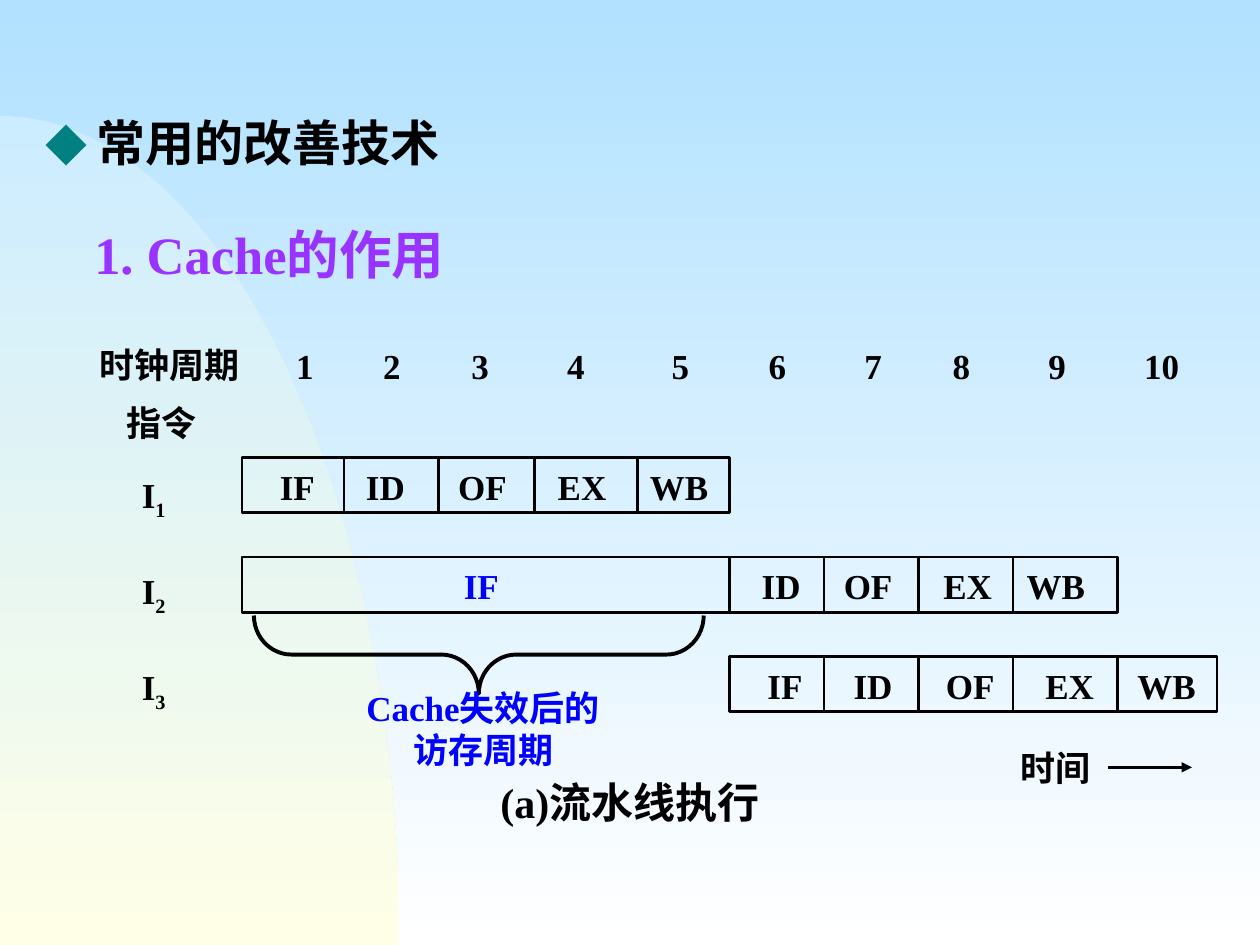
"""Build a slide on how a cache miss delays an instruction pipeline."""
import math
import pptx
import pptx.util
import pptx.dml.color
import pptx.enum.dml
import pptx.enum.shapes
import pptx.enum.text
import lxml.etree
from pptx.oxml import ns

Inches = pptx.util.Inches
Pt = pptx.util.Pt
LEFT = pptx.enum.text.PP_ALIGN.LEFT
MID = pptx.enum.text.PP_ALIGN.CENTER
Kind = pptx.enum.shapes.MSO_SHAPE
BLACK, BLUE, TEAL, PURPLE = "000000", "0000FF", "008080", "9933FF"


def color(code):
    return pptx.dml.color.RGBColor.from_string(code)


class Page:
    """Hold the style and the current slide."""

    font = "Times New Roman"
    size = 20
    line = 1.5

    def __init__(self, deck):
        self.slide = deck.slides.add_slide(deck.slide_layouts[5])
        self.shapes = self.slide.shapes

    def shade(self, fill, top, base):
        fill.gradient()
        fill.gradient_angle = 270
        for stop, code, place in zip(fill.gradient_stops, (top, base), (0, 1)):
            stop.color.rgb = color(code)
            stop.position = place

    def curve(self, wide, top, base):
        count = 60
        turns = [math.pi / 2 * i / count for i in range(count + 1)]
        points = [(Inches(wide * math.sin(t)), Inches(base - (base - top) * math.cos(t)))
                  for t in turns]
        pen = self.shapes.build_freeform(0, Inches(top))
        pen.add_line_segments(points + [(0, Inches(base))], close=True)
        shape = pen.convert_to_shape()
        shape.shadow.inherit = False
        shape.line.fill.background()
        self.shade(shape.fill, "CCECFF", "FFFFE7")
        self.shapes.title.element.addprevious(shape.element)

    def style(self, run, size, code):
        run.font.name = self.font
        run.font.size = Pt(size)
        run.font.bold = True
        run.font.color.rgb = color(code)

    def put(self, shape, parts, align):
        frame = shape.text_frame
        frame.auto_size = pptx.enum.text.MSO_AUTO_SIZE.NONE
        frame.word_wrap = True
        frame.vertical_anchor = pptx.enum.text.MSO_ANCHOR.MIDDLE
        frame.margin_left = frame.margin_right = Inches(0.1)
        frame.margin_top = frame.margin_bottom = 0
        para = frame.paragraphs[0]
        para.alignment = align
        for words, size, code in parts:
            run = para.add_run()
            run.text = words
            self.style(run, size, code)
        return para

    def title(self, x, y, w, h, parts):
        shape = self.shapes.title
        shape.left, shape.top, shape.width, shape.height = map(Inches, (x, y, w, h))
        self.put(shape, parts, LEFT)

    def text(self, x, y, w, h, words, size=size, code=BLACK, align=MID):
        box = self.shapes.add_textbox(*map(Inches, (x, y, w, h)))
        return self.put(box, [(words, size, code)], align)

    def label(self, x, y, words, code=BLACK):
        return self.text(x - 0.4, y - 0.2, 0.8, 0.4, words, code=code)

    def index(self, x, y, words, sub):
        para = self.label(x, y, words)
        run = para.add_run()
        run.text = sub
        self.style(run, self.size, BLACK)
        run._r.get_or_add_rPr().set("baseline", "-25000")

    def shape(self, kind, x, y, w, h, line=line):
        shape = self.shapes.add_shape(kind, *map(Inches, (x, y, w, h)))
        shape.shadow.inherit = False
        shape.fill.background()
        shape.line.color.rgb = color(BLACK)
        shape.line.width = Pt(line)
        return shape

    def rule(self, x, y, x2, y2, arrow=False):
        kind = pptx.enum.shapes.MSO_CONNECTOR.STRAIGHT
        link = self.shapes.add_connector(kind, *map(Inches, (x, y, x2, y2)))
        link.line.color.rgb = color(BLACK)
        link.line.width = Pt(self.line)
        if arrow:
            edge = link.element.spPr.find(ns.qn("a:ln"))
            lxml.etree.SubElement(edge, ns.qn("a:tailEnd"), type="triangle")
        lxml.etree.SubElement(link.element.spPr, ns.qn("a:effectLst"))

    def row(self, y, edges, stages):
        self.shape(Kind.RECTANGLE, edges[0], y, edges[-1] - edges[0], 0.44)
        for x in edges[1:-1]:
            self.rule(x, y, x, y + 0.45)
        for x, words, code in stages:
            self.label(x, y + 0.23, words, code)


def main():
    deck = pptx.Presentation()
    deck.slide_width, deck.slide_height = Inches(10), Inches(7.5)
    page = Page(deck)
    page.shade(page.slide.background.fill, "B1E1FF", "FFFFFF")
    page.curve(3.17, 0.92, 7.5)
    page.title(0.26, 0.84, 3.6, 0.57, [("◆ ", 24, TEAL), ("常用的改善技术", 28, BLACK)])
    page.text(0.65, 1.71, 3.3, 0.6, "1. Cache的作用", 30, PURPLE, LEFT)

    page.text(0.69, 2.69, 1.4, 0.4, "时钟周期", align=LEFT)
    clocks = [2.42, 3.11, 3.81, 4.57, 5.4, 6.17, 6.93, 7.63, 8.39, 9.22]
    for count, x in enumerate(clocks, 1):
        page.label(x, 2.9, str(count))
    page.label(1.28, 3.35, "指令")

    names = ["IF", "ID", "OF", "EX", "WB"]
    mids = [2.36, 3.06, 3.83, 4.62, 5.39]
    late = [6.2, 6.89, 7.68, 8.38]
    shift = 3.87
    first = [(x, name, BLACK) for x, name in zip(mids, names)]
    second = [(3.82, "IF", BLUE)] + [(x, name, BLACK) for x, name in zip(late, names[1:])]
    third = [(x + shift, name, BLACK) for x, name in zip(mids, names)]
    cuts = [5.79, 6.54, 7.29, 8.04, 8.87]
    rows = [
        ([1.92, 2.73, 3.48, 4.24, 5.06, 5.79], first),
        ([1.92] + cuts, second),
        (cuts + [9.66], third),
    ]
    for i, (edges, stages) in enumerate(rows):
        page.row(3.63 + 0.79 * i, edges, stages)
        page.index(1.22, 3.95 + 0.76 * i, "I", str(i + 1))

    brace = page.shape(Kind.RIGHT_BRACE, 3.49, 3.41, 0.62, 3.57, 2.25)
    brace.rotation = 90
    brace.adjustments[0] = 0.48
    page.text(2.75, 5.4, 2.17, 0.77, "Cache失效后的访存周期", code=BLUE)
    page.text(3.63, 6.07, 2.74, 0.58, "(a)流水线执行", 24)
    page.label(8.38, 6.09, "时间")
    page.rule(8.79, 6.09, 9.46, 6.09, arrow=True)
    deck.save("out.pptx")


if __name__ == "__main__":
    main()
